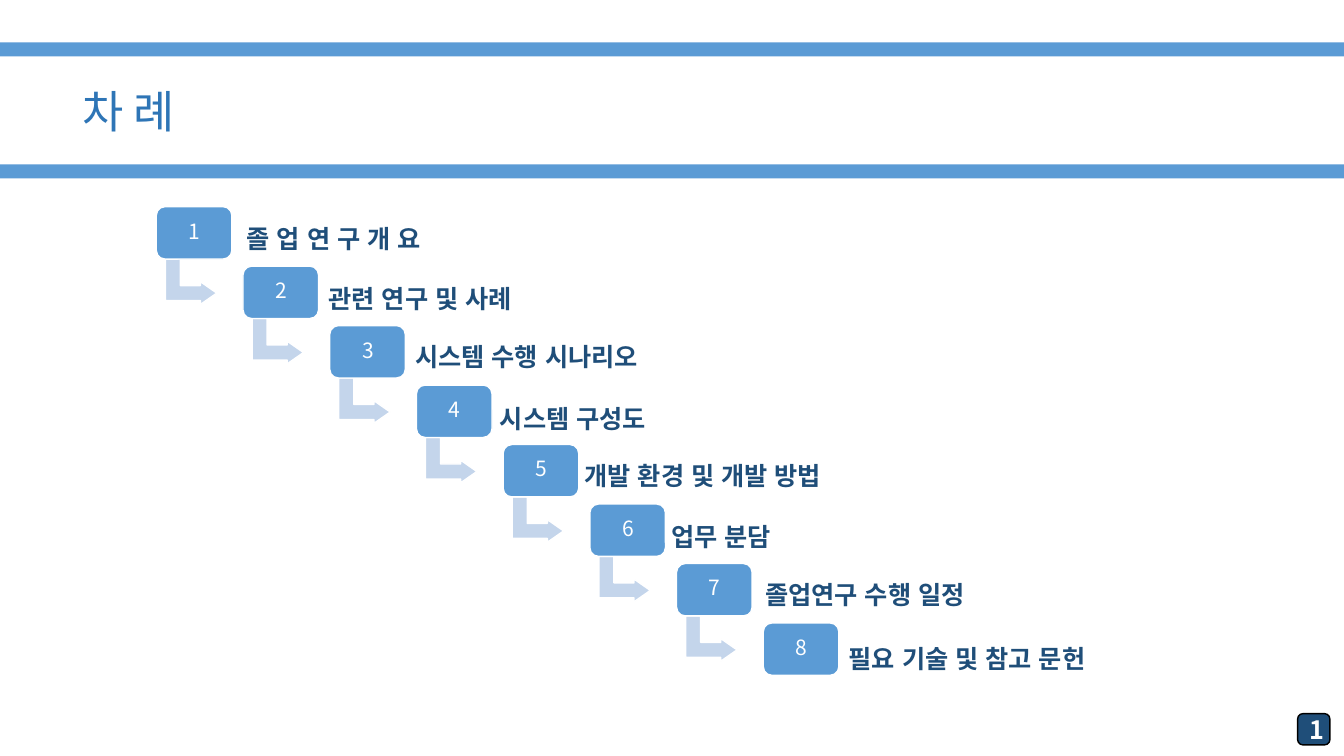
from pptx import Presentation
from pptx import util as u
from pptx.dml.color import RGBColor
from pptx.enum import shapes, text
from pptx.oxml.ns import qn
from lxml import etree

WIDTH, HEIGHT = 13.33, 7.5
KOREAN = "Noto Sans CJK KR"
BLUE, PALE, NAVY, WHITE = "5B9BD5", "C4D5EB", "1F4E79", "FFFFFF"

# Staircase grid: first step and the offset to each next one
LEFT, TOP = 1.55, 2.05
COLUMN, ROW = 0.86, 0.59

# Chapter title, with the left, top and width of its label
CHAPTERS = [
    ("졸 업 연 구 개 요", 2.35, 2.17, 2.16),
    ("관련 연구 및 사례", 3.16, 2.76, 2.24),
    ("시스템 수행 시나리오", 4.02, 3.34, 2.65),
    ("시스템 구성도", 4.86, 3.95, 1.81),
    ("개발 환경 및 개발 방법", 5.7, 4.52, 2.83),
    ("업무 분담", 6.56, 5.12, 1.3),
    ("졸업연구 수행 일정", 7.49, 5.7, 2.4),
    ("필요 기술 및 참고 문헌", 8.32, 6.33, 2.83),
]


def color(value):
    return RGBColor.from_string(value)


def inches(*lengths):
    return [u.Inches(n) for n in lengths]


def add_box(s, kind, at, fill, line=None):
    sp = s.shapes.add_shape(kind, *inches(*at))
    sp.shadow.inherit = False
    sp.fill.solid()
    sp.fill.fore_color.rgb = color(fill)
    if line:
        sp.line.color.rgb = color(line)
        sp.line.width = u.Pt(1)
    else:
        sp.line.fill.background()
    return sp


def write(sp, words, size, ink, font=KOREAN, bold=False):
    p = sp.text_frame.paragraphs[0]
    p.text = words
    r = p.runs[0]
    r.font.size = u.Pt(size)
    r.font.bold = bold
    r.font.name = font
    r.font.color.rgb = color(ink)
    # Hangul takes its typeface from the East Asian font
    etree.SubElement(r.font._element, qn("a:ea")).set("typeface", font)
    return p


def add_label(s, words, at, size, ink, font=KOREAN, bold=False):
    sp = s.shapes.add_textbox(*inches(*at))
    tf = sp.text_frame
    tf.word_wrap = False
    tf.auto_size = text.MSO_AUTO_SIZE.SHAPE_TO_FIT_TEXT
    write(sp, words, size, ink, font, bold)


def add_number(s, number, left, top):
    sp = s.shapes.add_textbox(*inches(left, top, 0.7, 0.47))
    tf = sp.text_frame
    tf.word_wrap = True
    tf.vertical_anchor = text.MSO_ANCHOR.MIDDLE
    tf.margin_left = tf.margin_right = u.Inches(0.06)
    tf.margin_top = tf.margin_bottom = u.Inches(0.06)
    p = write(sp, str(number), 15, WHITE)
    p.alignment = text.PP_ALIGN.CENTER
    p.line_spacing = 0.9
    p.space_after = u.Pt(5.25)


def add_arrow(s, left, top):
    sp = add_box(s, shapes.MSO_SHAPE.BENT_UP_ARROW,
                 (left, top, 0.45, 0.51), PALE, WHITE)
    sp.rotation = 90
    for i, share in enumerate((0.33, 0.25, 0.36)):
        sp.adjustments[i] = share


def add_step(s, index):
    left, top = LEFT + index * COLUMN, TOP + index * ROW
    if index < len(CHAPTERS) - 1:
        add_arrow(s, left + 0.12, top + 0.49)
    add_box(s, shapes.MSO_SHAPE.ROUNDED_RECTANGLE,
            (left, top, 0.75, 0.52), BLUE, WHITE)
    add_number(s, index + 1, left + 0.03, top + 0.02)


def add_page_number(s, number):
    sp = add_box(s, shapes.MSO_SHAPE.ROUNDED_RECTANGLE,
                 (12.87, 7.08, 0.32, 0.31), NAVY, "000000")
    sp.text_frame.vertical_anchor = text.MSO_ANCHOR.MIDDLE
    p = write(sp, str(number), 18, WHITE, bold=True)
    p.alignment = text.PP_ALIGN.CENTER


def main():
    prs = Presentation()
    prs.slide_width, prs.slide_height = inches(WIDTH, HEIGHT)
    s = prs.slides.add_slide(prs.slide_layouts[6])

    # Title between two bands
    for top in (1.63, 0.42):
        add_box(s, shapes.MSO_SHAPE.RECTANGLE, (0, top, WIDTH, 0.14), BLUE)
    add_label(s, "차 례", (0.72, 0.78, 1.25, 0.64), 32, "2E75B6")

    # Staircase of chapters
    for index in range(len(CHAPTERS)):
        add_step(s, index)
    for words, left, top, width in CHAPTERS:
        add_label(s, words, (left, top, width, 0.4), 18, NAVY, "Arial", True)

    add_page_number(s, 1)
    prs.save("out.pptx")


if __name__ == "__main__":
    main()
